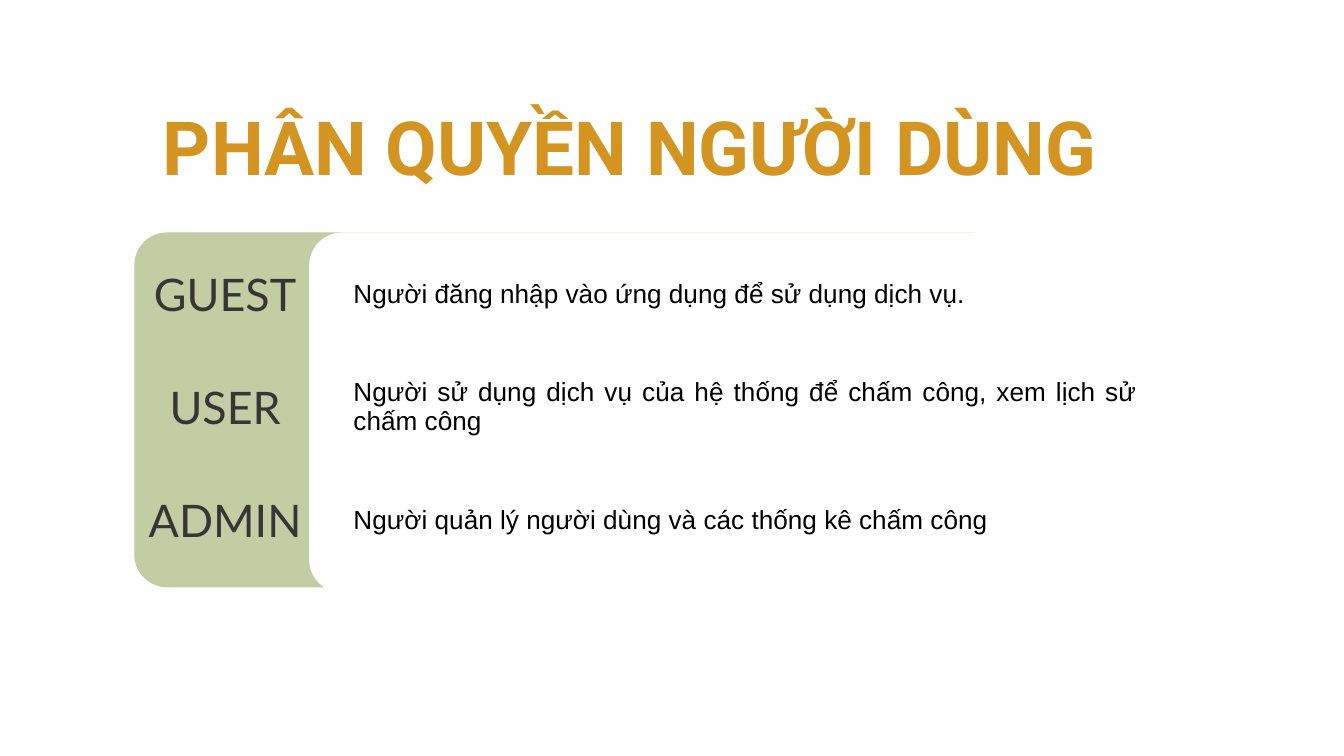
from dataclasses import dataclass

from pptx import Presentation
from pptx.dml.color import RGBColor
from pptx.enum.shapes import MSO_SHAPE
from pptx.enum.text import MSO_ANCHOR, MSO_AUTO_SIZE, PP_ALIGN
from pptx.util import Inches, Pt

ROUNDED = MSO_SHAPE.ROUNDED_RECTANGLE
TOP, MIDDLE = MSO_ANCHOR.TOP, MSO_ANCHOR.MIDDLE
CENTER, JUSTIFY = PP_ALIGN.CENTER, PP_ALIGN.JUSTIFY
NO_AUTOFIT = MSO_AUTO_SIZE.NONE
TITLE_ONLY_LAYOUT = 5
PLAIN_TABLE_STYLE = "{2D5ABB26-0587-4C30-8999-92F81FD0307C}"


@dataclass(frozen=True)
class Theme:
    gold: str = "D49421"
    green: str = "C3CCA2"
    white: str = "FFFFFF"
    dark: str = "383536"
    black: str = "000000"
    title_size: int = 40
    role_size: int = 24
    body_size: int = 14


theme = Theme()


def write_text(text_frame, text, *, font, size, color, align, bold=False):
    paragraph = text_frame.paragraphs[0]
    paragraph.alignment = align
    run = paragraph.add_run()
    run.text = text
    run.font.name = font
    run.font.size = Pt(size)
    run.font.bold = bold
    run.font.color.rgb = RGBColor.from_string(color)


def set_margins(container):
    """Give a cell or text frame the same inset on all four sides."""
    container.margin_left = container.margin_right = Inches(0.1)
    container.margin_top = container.margin_bottom = Inches(0.1)


# Widescreen, 16:9
presentation = Presentation()
presentation.slide_width = Inches(10)
presentation.slide_height = Inches(10) * 9 // 16
slide = presentation.slides.add_slide(presentation.slide_layouts[TITLE_ONLY_LAYOUT])

# Title
title = slide.shapes.title
title.left, title.top = Inches(0.64), Inches(0.65)
title.width, title.height = Inches(8.09), Inches(0.69)
title_frame = title.text_frame
title_frame.word_wrap = True
title_frame.auto_size = NO_AUTOFIT
title_frame.vertical_anchor = TOP
set_margins(title_frame)
write_text(title_frame, "PHÂN QUYỀN NGƯỜI DÙNG", font="Roboto",
           size=theme.title_size, color=theme.gold, align=CENTER, bold=True)

# Green role panel with a white panel over its right side
panels = [
    (1, 6.46, 2.64, theme.green),
    (2.3, 6.31, 2.68, theme.white),
]
for left, width, height, color in panels:
    panel = slide.shapes.add_shape(
        ROUNDED, Inches(left), Inches(1.73), Inches(width), Inches(height))
    panel.adjustments[0] = 0.092
    panel.shadow.inherit = False
    panel.fill.solid()
    panel.fill.fore_color.rgb = RGBColor.from_string(color)
    panel.line.fill.background()

# Roles and what they may do, below an empty first row
roles = [
    ("GUEST", "Người đăng nhập vào ứng dụng để sử dụng dịch vụ."),
    ("USER", "Người sử dụng dịch vụ của hệ thống để chấm công, xem lịch sử chấm công"),
    ("ADMIN", "Người quản lý người dùng và các thống kê chấm công"),
]
column_widths = [1.71] + [2.01] * 3
row_heights = [1.32] + [0.84] * len(roles)

table_frame = slide.shapes.add_table(
    len(row_heights), len(column_widths), Inches(0.82), Inches(0.45),
    Inches(sum(column_widths)), Inches(sum(row_heights)))
table = table_frame.table
table.first_row = False
table.horz_banding = False
for style_id in table_frame.element.iter("{*}tableStyleId"):
    style_id.text = PLAIN_TABLE_STYLE
for column, width in zip(table.columns, column_widths):
    column.width = Inches(width)
for row, height in zip(table.rows, row_heights):
    row.height = Inches(height)
for cell in table.iter_cells():
    cell.fill.background()

for row_index, (role, description) in enumerate(roles, start=1):
    role_cell = table.cell(row_index, 0)
    description_cell = table.cell(row_index, 1)
    description_cell.merge(table.cell(row_index, len(column_widths) - 1))
    description_cell.fill.solid()
    description_cell.fill.fore_color.rgb = RGBColor.from_string(theme.white)
    for cell in (role_cell, description_cell):
        cell.vertical_anchor = MIDDLE
        set_margins(cell)
    write_text(role_cell.text_frame, role, font="Lato",
               size=theme.role_size, color=theme.dark, align=CENTER)
    write_text(description_cell.text_frame, description, font="Arial",
               size=theme.body_size, color=theme.black, align=JUSTIFY)

presentation.save("out.pptx")
